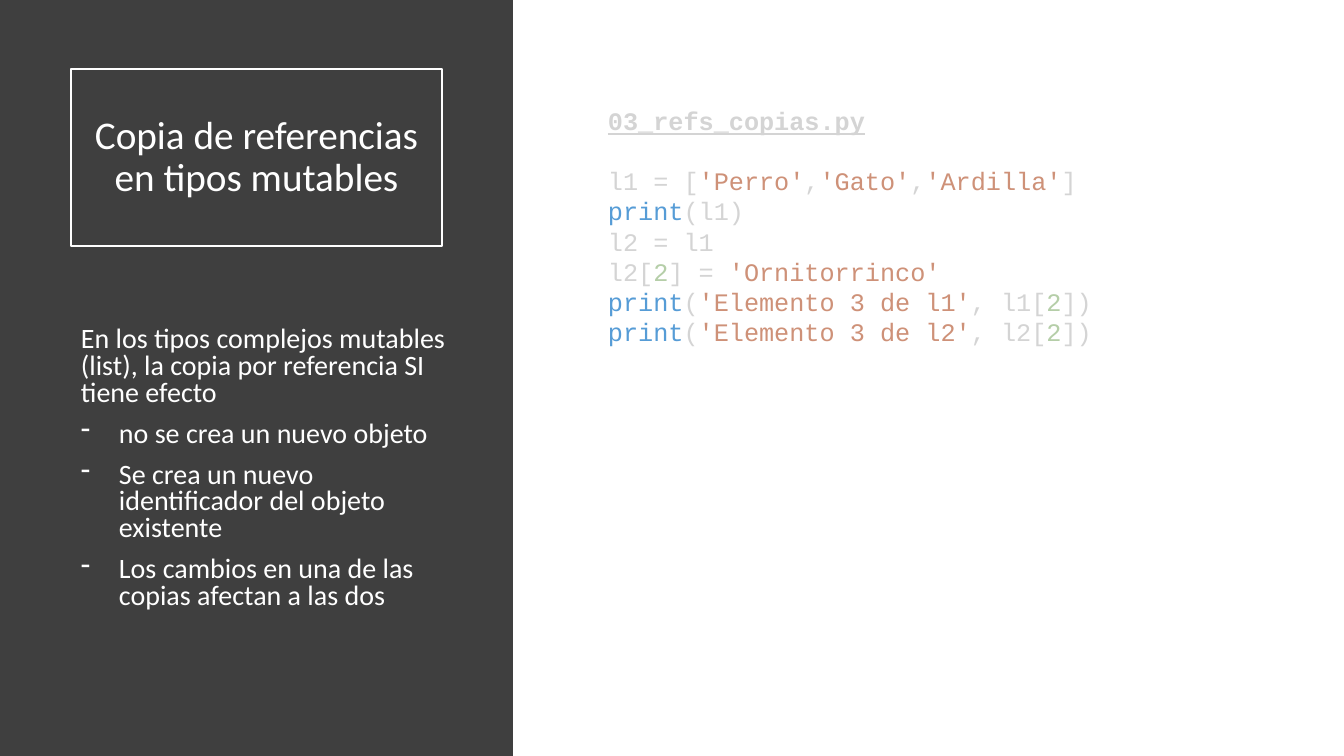
from lxml.etree import SubElement
from pptx import Presentation
from pptx.dml.color import RGBColor
from pptx.enum.shapes import MSO_SHAPE
from pptx.enum.text import MSO_ANCHOR, PP_ALIGN
from pptx.oxml.ns import qn
from pptx.util import Emu, Pt

SCALE = 914400 / 100.8
WHITE, GREY, BLUE, ORANGE, GREEN = "FFFFFF", "D4D4D4", "569CD6", "CE9178", "B5CEA8"


def place(left, top, width, height):
    return [Emu(round(length * SCALE)) for length in (left, top, width, height)]


def add_span(para, text, color=WHITE, size=20, font="Calibri", bold=False, underline=False):
    span = para.add_run()
    span.text = text
    span.font.name = font
    span.font.size = Pt(size)
    span.font.bold = bold
    span.font.underline = underline
    span.font.color.rgb = RGBColor.from_string(color)


deck = Presentation()
deck.slide_width, deck.slide_height = place(0, 0, 1344, 756)[2:]
page = deck.slides.add_slide(deck.slide_layouts[5])
page.background.fill.solid()
page.background.fill.fore_color.rgb = RGBColor.from_string(WHITE)

panel = page.shapes.add_shape(MSO_SHAPE.RECTANGLE, *place(0, 0, 513, 756))
panel.shadow.inherit = False
panel.fill.solid()
panel.fill.fore_color.rgb = RGBColor.from_string("3F3F3F")
panel.line.fill.background()

title = page.shapes.title
title.left, title.top, title.width, title.height = place(71, 69, 371, 177)
title.line.color.rgb = RGBColor.from_string(WHITE)
title.line.width = Pt(1.5)
title.text_frame.word_wrap = True
title.text_frame.vertical_anchor = MSO_ANCHOR.MIDDLE
para = title.text_frame.paragraphs[0]
para.alignment = PP_ALIGN.CENTER
para.line_spacing = 0.9
add_span(para, "Copia de referencias", size=28)
para.add_line_break()
add_span(para, "en tipos mutables", size=28)
page.shapes._spTree.append(title._element)

notes_box = page.shapes.add_textbox(*place(71, 322, 386, 307))
notes_box.text_frame.word_wrap = True
para = notes_box.text_frame.paragraphs[0]
para.line_spacing = 0.8
add_span(para, "En los tipos complejos mutables (list), la copia por referencia SI tiene efecto")
for point in (
    "no se crea un nuevo objeto",
    "Se crea un nuevo identificador del objeto existente",
    "Los cambios en una de las copias afectan a las dos",
):
    para = notes_box.text_frame.add_paragraph()
    para.line_spacing = 0.8
    para.space_before = Pt(10)
    properties = para._p.get_or_add_pPr()
    indent = round(38 * SCALE)
    properties.set("marL", str(indent))
    properties.set("indent", str(-indent))
    SubElement(properties, qn("a:buChar"), char="-")
    add_span(para, point)

code_lines = [
    [("l1 = [", GREY), ("'Perro'", ORANGE), (",", GREY), ("'Gato'", ORANGE),
     (",", GREY), ("'Ardilla'", ORANGE), ("]", GREY)],
    [("print", BLUE), ("(l1)", GREY)],
    [("l2 = l1", GREY)],
    [("l2[", GREY), ("2", GREEN), ("] = ", GREY), ("'Ornitorrinco'", ORANGE)],
]
for name in ("l1", "l2"):
    code_lines.append([
        ("print", BLUE), ("(", GREY), (f"'Elemento 3 de {name}'", ORANGE),
        (f", {name}[", GREY), ("2", GREEN), ("])", GREY),
    ])

code_box = page.shapes.add_textbox(*place(598, 100, 513, 285))
code_box.text_frame.word_wrap = True
para = code_box.text_frame.paragraphs[0]
para.space_after = Pt(21.6)
add_span(para, "03_refs_copias.py", GREY, 18, "Courier New", bold=True, underline=True)
for code_line in code_lines:
    para = code_box.text_frame.add_paragraph()
    for text, color in code_line:
        add_span(para, text, color, 18, "Courier New")

deck.save("out.pptx")
